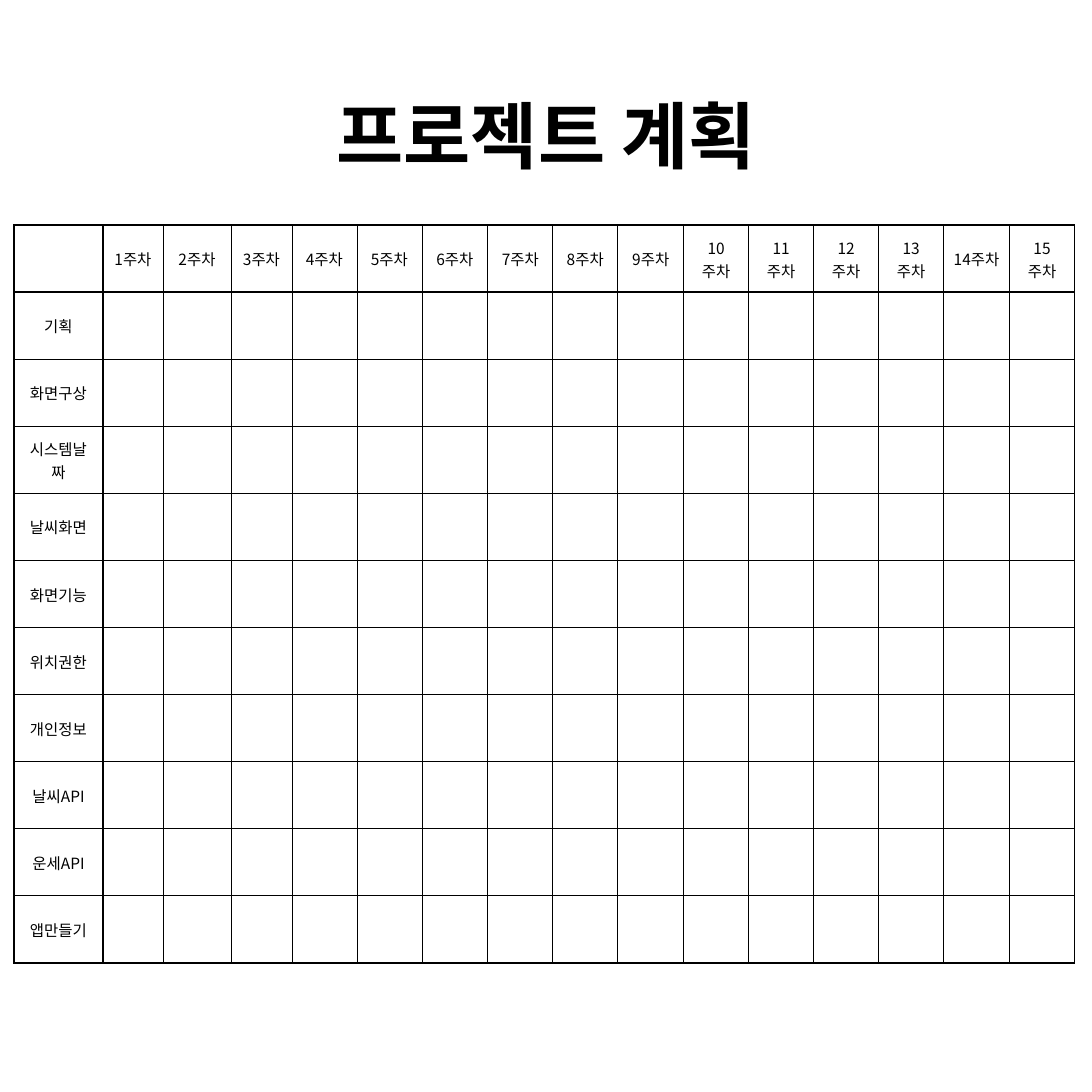
from lxml import etree
from pptx import Presentation
from pptx.dml.color import RGBColor
from pptx.enum.text import MSO_ANCHOR, PP_ALIGN
from pptx.oxml.ns import qn
from pptx.util import Emu, Pt

BLACK = RGBColor(0x00, 0x00, 0x00)
WHITE = RGBColor(0xFF, 0xFF, 0xFF)
LATIN_TITLE_FONT = "Calibri"
KOREAN_FONT = "Noto Sans CJK KR"
THIN, THICK = Pt(0.6), Pt(1.2)

SLIDE_SIZE = 1092
EMU_PER_PX = 914400 * 10.8 / SLIDE_SIZE

WEEKS = 15
TASKS = ["기획", "화면구상", "시스템날짜", "날씨화면", "화면기능",
         "위치권한", "개인정보", "날씨API", "운세API", "앱만들기"]


def px(length):
    return Emu(round(length * EMU_PER_PX))


def write_text(text_frame, text, size, font=KOREAN_FONT, bold=False, spacing=None):
    paragraph = text_frame.paragraphs[0]
    paragraph.alignment = PP_ALIGN.CENTER
    if spacing:
        paragraph.line_spacing = spacing
    run = paragraph.add_run()
    run.text = text
    run.font.size = Pt(size)
    run.font.bold = bold
    run.font.color.rgb = BLACK
    run.font.name = font
    east_asian = etree.Element(qn("a:ea"), typeface=KOREAN_FONT)
    run.font._element.find(qn("a:latin")).addnext(east_asian)


class PlanSlide:
    def __init__(self, presentation):
        self.slide = presentation.slides.add_slide(presentation.slide_layouts[6])
        fill = self.slide.background.fill
        fill.solid()
        fill.fore_color.rgb = WHITE

    def title(self, text, left, top, width, height):
        shape = self.slide.shapes.add_textbox(px(left), px(top), px(width), px(height))
        text_frame = shape.text_frame
        text_frame.word_wrap = True
        text_frame.vertical_anchor = MSO_ANCHOR.MIDDLE
        write_text(text_frame, text, 52, font=LATIN_TITLE_FONT, bold=True)

    def border(self, cell, sides):
        properties = cell._tc.get_or_add_tcPr()
        for index, (side, width) in enumerate(sides.items()):
            line = etree.Element(qn(f"a:ln{side}"), w=str(width))
            fill = etree.SubElement(line, qn("a:solidFill"))
            etree.SubElement(fill, qn("a:srgbClr"), val=str(BLACK))
            properties.insert(index, line)

    def table(self, rows, left, top, height, column_edges):
        row_count, column_count = len(rows), len(rows[0])
        frame = self.slide.shapes.add_table(
            row_count, column_count, px(left), px(top), px(column_edges[-1]), px(height))
        table = frame.table
        table.first_row = table.horz_banding = False
        for column, start, end in zip(table.columns, column_edges, column_edges[1:]):
            column.width = px(end - start)
        for row in table.rows:
            row.height = px(height / row_count)

        # Thick rules frame the table, its header row and its first column
        vertical = [THICK if i in (0, 1, column_count) else THIN
                    for i in range(column_count + 1)]
        horizontal = [THICK if i in (0, 1, row_count) else THIN
                      for i in range(row_count + 1)]
        for r, texts in enumerate(rows):
            for c, text in enumerate(texts):
                cell = table.cell(r, c)
                cell.fill.background()
                cell.vertical_anchor = MSO_ANCHOR.MIDDLE
                if text:
                    write_text(cell.text_frame, text, 11, spacing=1.03)
                self.border(cell, {"L": vertical[c], "R": vertical[c + 1],
                                   "T": horizontal[r], "B": horizontal[r + 1]})


def main():
    presentation = Presentation()
    presentation.slide_width = presentation.slide_height = px(SLIDE_SIZE)
    plan = PlanSlide(presentation)

    # Title
    plan.title("프로젝트 계획", 55, 43, 983, 182)

    # Schedule: one column per week, one row per task
    header = [""] + [f"{week}주차" for week in range(1, WEEKS + 1)]
    rows = [header] + [[task] + [""] * WEEKS for task in TASKS]
    first_edges = [0, 89, 149, 217]
    even_edges = [278 + round(65.25 * i) for i in range(13)]
    plan.table(rows, 14, 225, 738, first_edges + even_edges)

    presentation.save("out.pptx")


if __name__ == "__main__":
    main()
